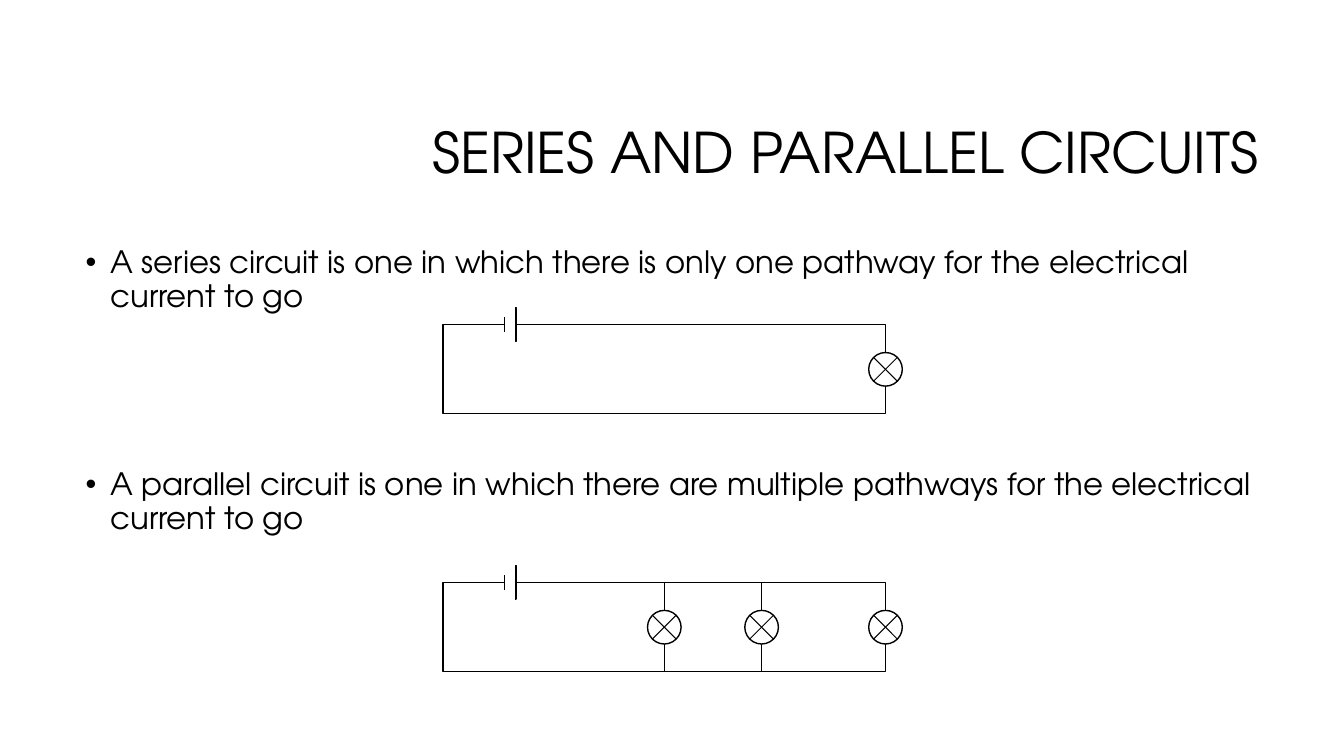
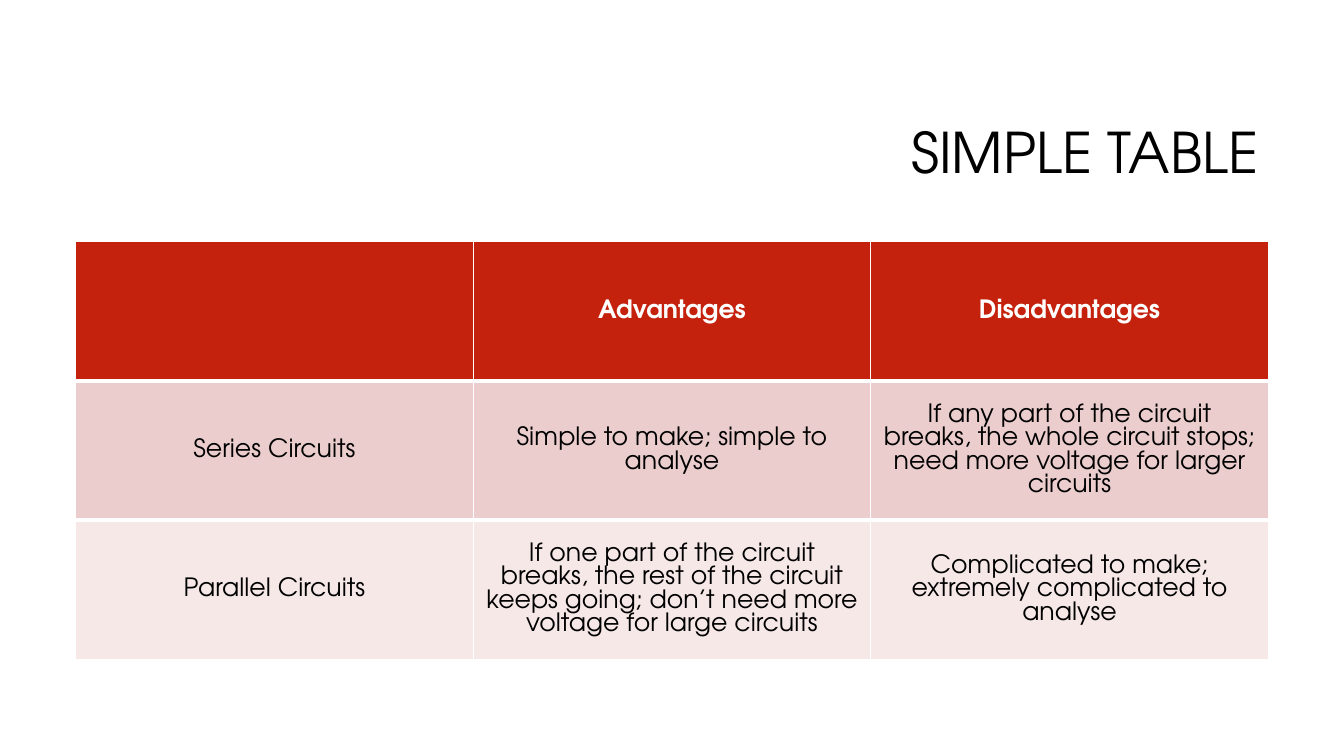
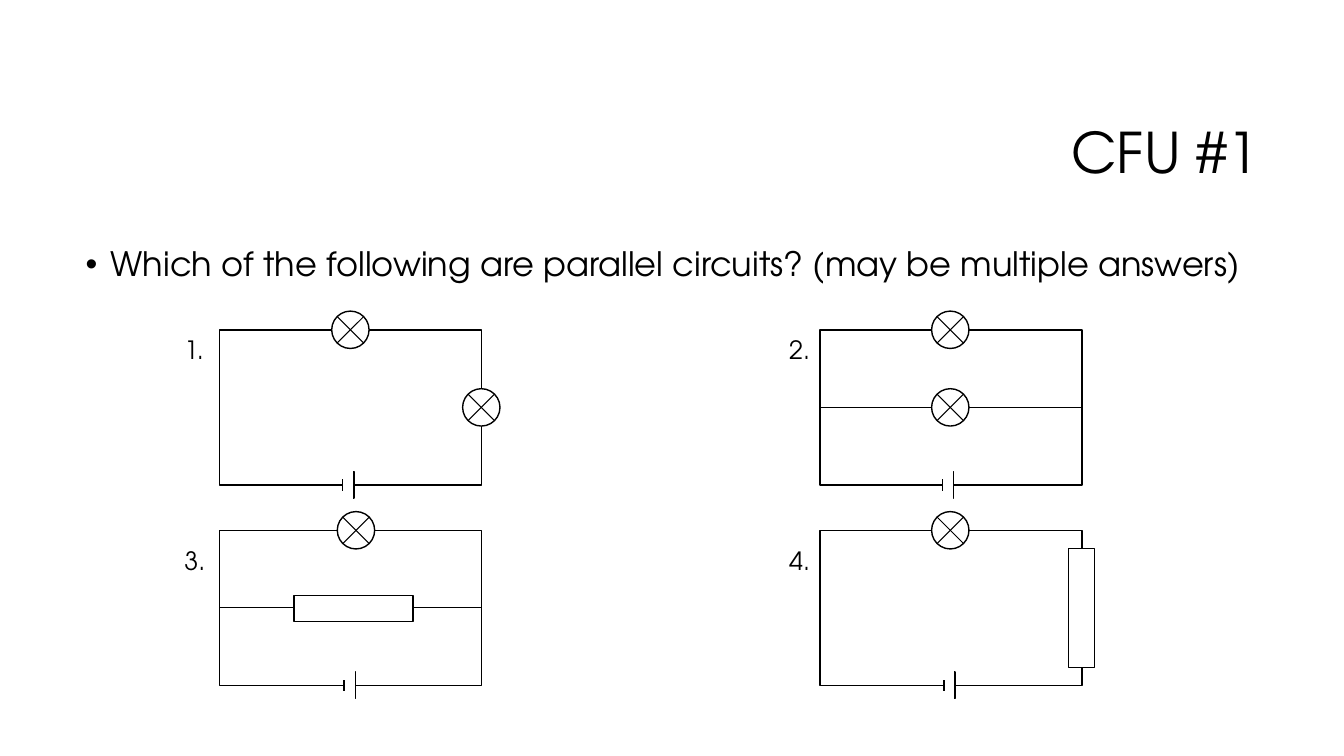
"""Build three slides on series and parallel circuits."""
from lxml import etree
from pptx import Presentation
from pptx import util as u
from pptx.dml import color
from pptx.enum import shapes, text
from pptx.oxml import ns

COLOURS = {
    "ink": "000000",
    "paper": "FFFFFF",
    "header": "C4220D",
    "series": "EACDCC",
    "parallel": "F5E8E7",
}
FONT = "TeX Gyre Adventor"
RECT = shapes.MSO_SHAPE.RECTANGLE
OVAL = shapes.MSO_SHAPE.OVAL
WIRE = shapes.MSO_CONNECTOR.STRAIGHT


def rgb(name):
    return color.RGBColor.from_string(COLOURS[name])


def write(para, words, size, colour="ink", bold=False):
    span = para.add_run()
    span.text = words
    span.font.name = FONT
    span.font.size = u.Pt(size)
    span.font.bold = bold
    span.font.color.rgb = rgb(colour)


deck = Presentation()
deck.slide_width, deck.slide_height = u.Pt(960), u.Pt(540)

pages = []
for heading in ("SERIES AND PARALLEL CIRCUITS", "SIMPLE TABLE", "CFU #1"):
    page = deck.slides.add_slide(deck.slide_layouts[5])
    title = page.shapes.title
    title.left, title.top = u.Pt(228), u.Pt(60.5)
    title.width, title.height = u.Pt(678), u.Pt(101.5)
    title.text_frame.vertical_anchor = text.MSO_ANCHOR.MIDDLE
    para = title.text_frame.paragraphs[0]
    para.alignment = text.PP_ALIGN.RIGHT
    para.line_spacing = 0.9
    write(para, heading, 40)
    pages.append(page)
intro_page, table_page, quiz_page = pages

bullet_lists = [
    (intro_page, 22, [
        "A series circuit is one in which there is only one pathway for the electrical current to go",
        "A parallel circuit is one in which there are multiple pathways for the electrical current to go",
    ]),
    (quiz_page, 24, ["Which of the following are parallel circuits? (may be multiple answers)"]),
]
for page, size, lines in bullet_lists:
    box = page.shapes.add_textbox(u.Pt(54), u.Pt(173.2), u.Pt(852), u.Pt(316.8))
    box.text_frame.word_wrap = True
    for index, line in enumerate(lines):
        para = box.text_frame.add_paragraph() if index else box.text_frame.paragraphs[0]
        props = para._p.get_or_add_pPr()
        props.set("marL", str(u.Pt(18)))
        props.set("indent", str(u.Pt(-18)))
        etree.SubElement(props, ns.qn("a:buFont")).set("typeface", "Arial")
        etree.SubElement(props, ns.qn("a:buChar")).set("char", "•")
        para.line_spacing = 0.9
        para.space_before = u.Pt(111 if index else 0)
        write(para, line, size)

rows = [
    ("header", ["", "Advantages", "Disadvantages"]),
    ("series", [
        "Series Circuits",
        "Simple to make; simple to analyse",
        "If any part of the circuit breaks, the whole circuit stops; need more voltage for larger circuits",
    ]),
    ("parallel", [
        "Parallel Circuits",
        "If one part of the circuit breaks, the rest of the circuit keeps going; "
        "don’t need more voltage for large circuits",
        "Complicated to make; extremely complicated to analyse",
    ]),
]
table = table_page.shapes.add_table(3, 3, u.Pt(54), u.Pt(172.5), u.Pt(852), u.Pt(298.5)).table
table.horz_banding = False
header_edges = {0: "a:lnB", 1: "a:lnT"}
for row, (fill, entries) in enumerate(rows):
    is_header = fill == "header"
    for column, entry in enumerate(entries):
        cell = table.cell(row, column)
        cell.fill.solid()
        cell.fill.fore_color.rgb = rgb(fill)
        cell.vertical_anchor = text.MSO_ANCHOR.MIDDLE
        if row in header_edges:
            edge = etree.Element(ns.qn(header_edges[row]), w=str(u.Pt(3)))
            edge_fill = etree.SubElement(edge, ns.qn("a:solidFill"))
            etree.SubElement(edge_fill, ns.qn("a:srgbClr"), val=COLOURS["paper"])
            cell._tc.get_or_add_tcPr().insert(0, edge)
        if entry:
            para = cell.text_frame.paragraphs[0]
            para.alignment = text.PP_ALIGN.CENTER
            write(para, entry, 18, "paper" if is_header else "ink", is_header)

INTRO = {"page": intro_page, "width": 316, "height": 63.7, "lamp": 24, "long": 24, "short": 11.5}
QUIZ = {"page": quiz_page, "width": 187, "height": 110.8, "lamp": 26.7, "long": 19, "short": 9}
LEFT, RIGHT, TOP, LOWER = 156.8, 585.8, 235.6, 378.8
circuits = [
    {**INTRO, "at": (316.5, 231.8), "cell": (48, 0), "lamps": [(316, 32)]},
    {**INTRO, "at": (316.5, 416), "cell": (48, 0), "lamps": [(316, 32), (227.5, 32), (158, 32)],
     "branches": [(158, 0, 0, 63.7), (227.5, 0, 0, 63.7)]},
    {**QUIZ, "at": (LEFT, TOP), "cell": (92, 110.8), "lamps": [(93.5, 0), (187, 55.4)]},
    {**QUIZ, "at": (RIGHT, TOP), "cell": (91.5, 110.8), "lamps": [(93, 0), (93, 55.4)],
     "branches": [(0, 55.4, 187, 0)]},
    {**QUIZ, "at": (LEFT, LOWER), "cell": (93, 110.8), "lamps": [(97.5, 0)],
     "branches": [(0, 55.4, 187, 0)], "resistor": (53.2, 46.5, 85, 18.7)},
    {**QUIZ, "at": (RIGHT, LOWER), "cell": (92.5, 110.8), "lamps": [(93, 0)],
     "resistor": (177.5, 13, 18.7, 85)},
]
for circuit in circuits:
    parts = [(RECT, 0, 0, circuit["width"], circuit["height"], "ink")]
    for branch in circuit.get("branches", []):
        parts.append((WIRE, *branch, "ink"))

    lamp = circuit["lamp"]
    cross = round(lamp * 0.71, 2)
    for x, y in circuit["lamps"]:
        parts += [
            (OVAL, x - lamp / 2, y - lamp / 2, lamp, lamp, "ink"),
            (WIRE, x - cross / 2, y - cross / 2, cross, cross, "ink"),
            (WIRE, x + cross / 2, y - cross / 2, -cross, cross, "ink"),
        ]

    x, y = circuit["cell"]
    long_plate, short_plate = circuit["long"], circuit["short"]
    mask = (long_plate - short_plate) / 2 + 3
    parts += [
        (RECT, x - 4, y - long_plate / 2, 8, long_plate, "ink"),
        (RECT, x - 9, y - short_plate / 2 - mask, 12, mask, "paper"),
        (RECT, x - 9, y + short_plate / 2, 12, mask, "paper"),
    ]
    if "resistor" in circuit:
        parts.append((RECT, *circuit["resistor"], "ink"))

    left, top = circuit["at"]
    drawing = circuit["page"].shapes
    for kind, x, y, width, height, outline in parts:
        start_x, start_y = left + x, top + y
        if kind is WIRE:
            part = drawing.add_connector(WIRE, u.Pt(start_x), u.Pt(start_y),
                                         u.Pt(start_x + width), u.Pt(start_y + height))
            etree.SubElement(part._element.spPr, ns.qn("a:effectLst"))
            part.line.width = u.Pt(0.75)
        else:
            part = drawing.add_shape(kind, u.Pt(start_x), u.Pt(start_y), u.Pt(width), u.Pt(height))
            part.shadow.inherit = False
            part.fill.solid()
            part.fill.fore_color.rgb = rgb("paper")
            part.line.width = u.Pt(1)
        part.line.color.rgb = rgb(outline)

for index in range(4):
    row, column = divmod(index, 2)
    box = quiz_page.shapes.add_textbox(u.Pt(131.7 + 432 * column), u.Pt(238.7 + 151 * row), u.Pt(22), u.Pt(22))
    frame = box.text_frame
    frame.margin_left = frame.margin_right = frame.margin_top = frame.margin_bottom = 0
    write(frame.paragraphs[0], f"{index + 1}.", 18)

deck.save("out.pptx")
